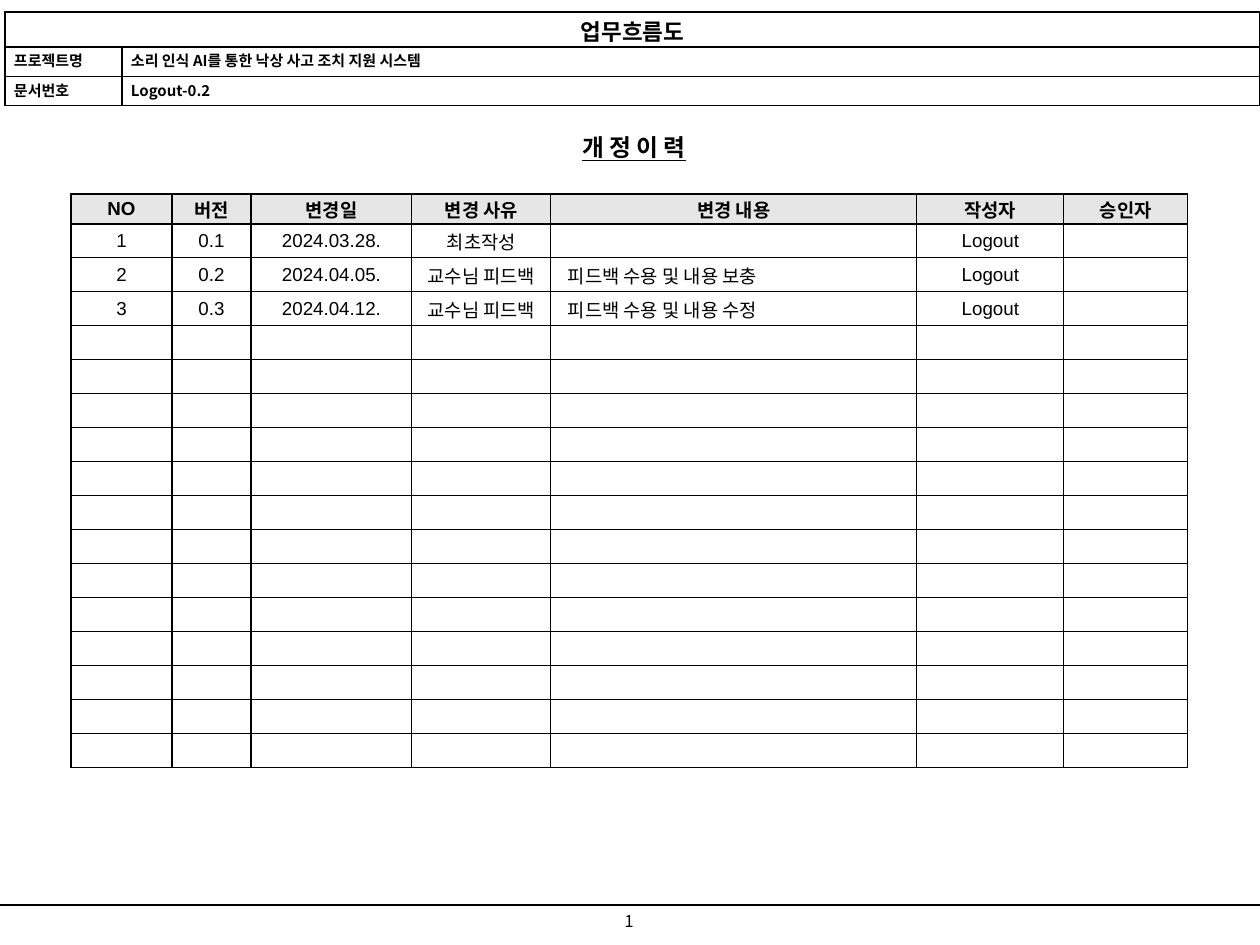
import pptx
import pptx.dml.color
import pptx.enum.shapes
import pptx.enum.text
import pptx.oxml.ns
import pptx.util
from dataclasses import dataclass
from lxml import etree

ALIGN = pptx.enum.text.PP_ALIGN
ANCHOR = pptx.enum.text.MSO_ANCHOR
PX = 10160  # EMU per px, at 90 px to the inch
qn = pptx.oxml.ns.qn


@dataclass(frozen=True)
class Theme:
    ink: str = "000000"
    paper: str = "FFFFFF"
    header: str = "E6E6E6"
    latin: str = "Arial"
    korean: str = "Noto Sans CJK KR"
    heading: int = 19
    banner: int = 18
    body: int = 15
    label: int = 12
    folio: int = 13
    rule: int = 1


def px(length):
    return pptx.util.Emu(length * PX)


def rgb(value):
    return pptx.dml.color.RGBColor.from_string(value)


def apply(target, values):
    for name, value in values.items():
        setattr(target, name, value)


class Sheet:
    def __init__(self, deck, theme):
        self.theme = theme
        self.page = deck.slides.add_slide(deck.slide_layouts[6])

    def words(self, frame, text, size, font=None, align=ALIGN.CENTER, **style):
        para = frame.paragraphs[0]
        para.alignment = align
        span = para.add_run()
        span.text = text
        apply(span.font, {"size": pptx.util.Pt(size),
                          "name": font or self.theme.korean, **style})
        span.font.color.rgb = rgb(self.theme.ink)
        # East Asian typeface for the Hangul
        etree.SubElement(span.font._element, qn("a:ea"), typeface=self.theme.korean)

    def text(self, place, text, size, frame_format, **style):
        box = self.page.shapes.add_textbox(*map(px, place))
        apply(box.text_frame, {
            "margin_left": px(12), "margin_right": px(12),
            "margin_top": px(6), "margin_bottom": px(6),
            "auto_size": pptx.enum.text.MSO_AUTO_SIZE.SHAPE_TO_FIT_TEXT,
            **frame_format})
        self.words(box.text_frame, text, size, **style)

    def line(self, start, end):
        rule = self.page.shapes.add_connector(
            pptx.enum.shapes.MSO_CONNECTOR.STRAIGHT, *map(px, start + end))
        rule.line.color.rgb = rgb(self.theme.ink)
        rule.line.width = pptx.util.Pt(self.theme.rule)
        etree.SubElement(rule._element.spPr, qn("a:effectLst"))

    def table(self, left, top, widths, heights):
        frame = self.page.shapes.add_table(
            len(heights), len(widths), px(left), px(top),
            px(sum(widths)), px(sum(heights)))
        table = frame.table
        apply(table, {"first_row": False, "horz_banding": False})
        for column, width in zip(table.columns, widths):
            column.width = px(width)
        for row, height in zip(table.rows, heights):
            row.height = px(height)
        return table

    def cell(self, cell, fill, inset, anchor):
        side, edge = inset
        apply(cell, {"margin_left": px(side), "margin_right": px(side),
                     "margin_top": px(edge), "margin_bottom": px(edge),
                     "vertical_anchor": anchor})
        cell.fill.solid()
        cell.fill.fore_color.rgb = rgb(fill)
        # Borders come before the fill in the cell properties
        properties = cell._tc.get_or_add_tcPr()
        for index, name in enumerate(("a:lnL", "a:lnR", "a:lnT", "a:lnB")):
            border = etree.Element(qn(name), w=str(pptx.util.Pt(self.theme.rule)))
            solid = etree.SubElement(border, qn("a:solidFill"))
            etree.SubElement(solid, qn("a:srgbClr"), val=self.theme.ink)
            properties.insert(index, border)


def add_footer(sheet):
    sheet.text((605, 905, 48, 31), "1", sheet.theme.folio, {"word_wrap": False})
    sheet.line((0, 905), (1260, 905))


def add_history(sheet):
    theme = sheet.theme
    rows = [
        ("NO", "버전", "변경일", "변경 사유", "변경 내용", "작성자", "승인자"),
        ("1", "0.1", "2024.03.28.", "최초작성", "", "Logout", ""),
        ("2", "0.2", "2024.04.05.", "교수님 피드백", "피드백 수용 및 내용 보충", "Logout", ""),
        ("3", "0.3", "2024.04.12.", "교수님 피드백", "피드백 수용 및 내용 수정", "Logout", ""),
    ]
    blank_rows = 13
    widths = [101, 79, 161, 139, 366, 147, 124]
    rows += [("",) * len(widths)] * blank_rows
    table = sheet.table(71, 194, widths, [30] + [34] * (len(rows) - 1))
    for i, row in enumerate(rows):
        for j, text in enumerate(row):
            cell = table.cell(i, j)
            sheet.cell(cell, theme.paper if i else theme.header, (8, 0), ANCHOR.MIDDLE)
            if not text:
                continue
            align = ALIGN.CENTER
            if i and j == 4:  # change descriptions run from the left
                align = ALIGN.LEFT
                cell.margin_left = px(17)
            sheet.words(cell.text_frame, text, theme.body, theme.latin, align, bold=i == 0)


def add_banner(sheet):
    theme = sheet.theme
    rows = [
        ("업무흐름도", ""),
        ("프로젝트명", "소리 인식 AI를 통한 낙상 사고 조치 지원 시스템"),
        ("문서번호", "Logout-0.2"),
    ]
    table = sheet.table(5, 12, [117, 1138], [35, 30, 29])
    table.cell(0, 0).merge(table.cell(0, 1))
    for i, row in enumerate(rows):
        for j, text in enumerate(row):
            cell = table.cell(i, j)
            sheet.cell(cell, theme.paper, (9, 2), ANCHOR.TOP)
            if text:
                size, align = ((theme.label, ALIGN.LEFT) if i
                               else (theme.banner, ALIGN.CENTER))
                sheet.words(cell.text_frame, text, size, align=align, bold=True)


def main():
    deck = pptx.Presentation()
    apply(deck, {"slide_width": px(1260), "slide_height": px(945)})
    sheet = Sheet(deck, Theme())

    # Page number and rule
    add_footer(sheet)

    # Heading
    sheet.text((524, 126, 220, 42), "개 정 이 력", sheet.theme.heading,
               {"word_wrap": True, "vertical_anchor": ANCHOR.MIDDLE},
               bold=True, underline=True)

    # Revision history, then document details
    add_history(sheet)
    add_banner(sheet)

    deck.save("out.pptx")


if __name__ == "__main__":
    main()
